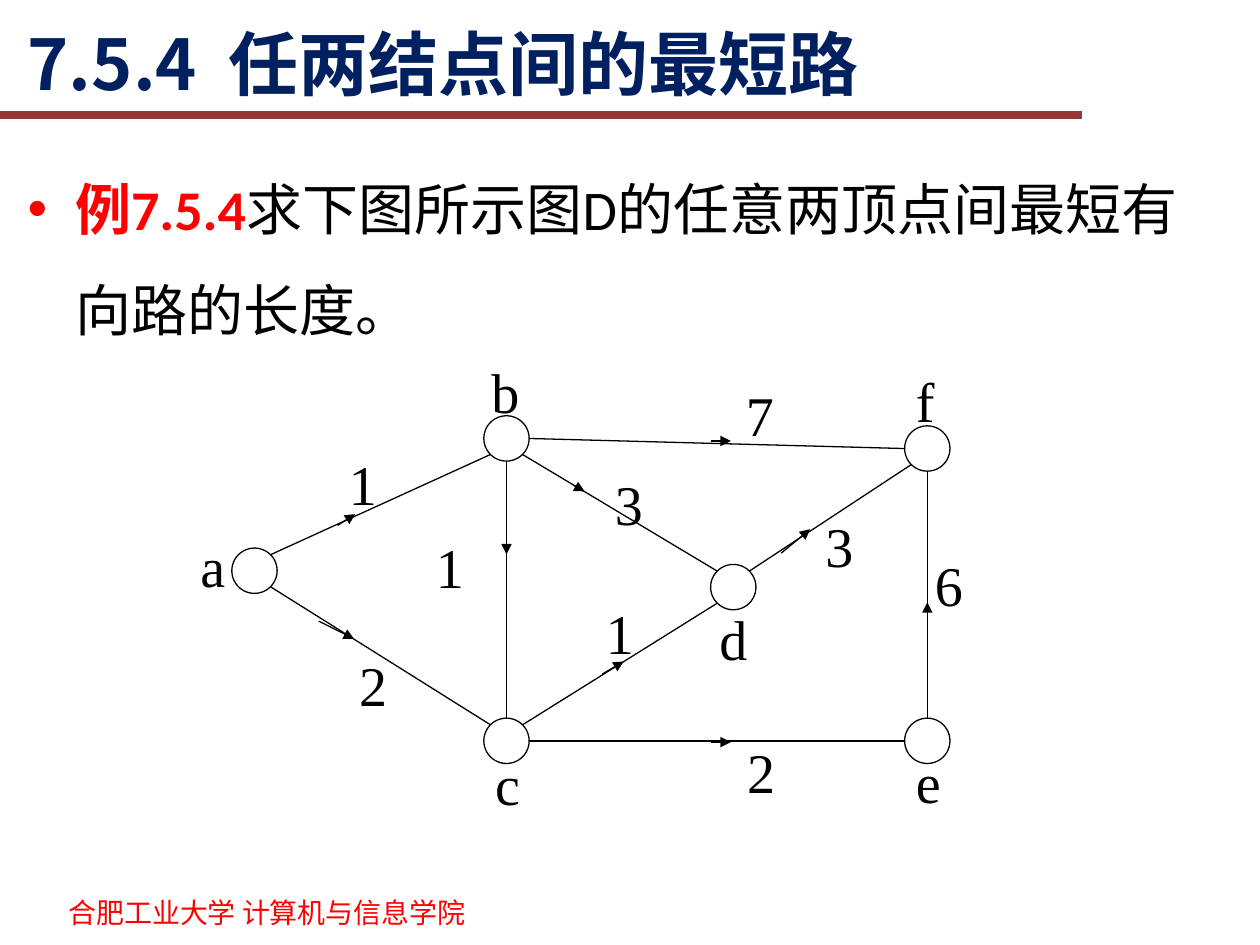
from math import atan2, cos, pi, sin

from lxml import etree
from pptx import Presentation
from pptx.dml.color import RGBColor
from pptx.enum.shapes import MSO_CONNECTOR, MSO_SHAPE
from pptx.enum.text import MSO_ANCHOR, PP_ALIGN
from pptx.oxml.ns import qn
from pptx.util import Inches, Pt

STRAIGHT = MSO_CONNECTOR.STRAIGHT
RECT, OVAL = MSO_SHAPE.RECTANGLE, MSO_SHAPE.OVAL
LEFT, CENTER = PP_ALIGN.LEFT, PP_ALIGN.CENTER
TOP, MIDDLE = MSO_ANCHOR.TOP, MSO_ANCHOR.MIDDLE

COLORS = {"navy": "002060", "rule": "953735", "red": "FF0000",
          "black": "000000", "white": "FFFFFF"}
CJK_SC, CJK_JP = "Noto Sans CJK SC", "Noto Sans CJK JP"
SERIF, SANS = "Times New Roman", "Calibri"

# Content
TITLE = "7.5.4  任两结点间的最短路"
EXAMPLE = "例7.5.4"
QUESTION = "求下图所示图D的任意两顶点间最短有向路的长度。"
FOOTER = "合肥工业大学 计算机与信息学院"

# Graph: vertex name -> (centre, label box corner)
VERTICES = {
    "d": ((5.82, 4.66), (5.6, 4.74)),
    "a": ((2.02, 4.53), (1.48, 4.16)),
    "c": ((4.02, 5.88), (3.82, 5.89)),
    "e": ((7.36, 5.88), (7.16, 5.87)),
    "f": ((7.36, 3.56), (7.16, 2.85)),
    "b": ((4.02, 3.48), (3.79, 2.78)),
}
# Edge: from, to, weight, weight box corner, arrow start, arrow tip
EDGES = [
    ("d", "f", 3, (6.44, 4.0), (6.2, 4.39), (6.43, 4.2)),
    ("c", "d", 1, (4.7, 4.69), (4.78, 5.35), (4.95, 5.25)),
    ("b", "d", 3, (4.77, 3.67), (4.55, 3.85), (4.64, 3.9)),
    ("b", "f", 7, (5.81, 2.96), (5.64, 3.5), (5.8, 3.5)),
    ("a", "b", 1, (2.66, 3.51), (2.68, 4.17), (2.82, 4.08)),
    ("b", "c", 1, (3.35, 4.17), (4.02, 4.35), (4.02, 4.4)),
    ("a", "c", 2, (2.74, 5.1), (2.53, 4.93), (2.81, 5.07)),
    ("e", "f", 6, (7.31, 4.31), (7.36, 4.83), (7.36, 4.78)),
    ("c", "e", 2, (5.82, 5.79), (5.64, 5.89), (5.8, 5.89)),
]
RADIUS = 0.18
LABEL_SIZE = 1.03


def rgb(name):
    return RGBColor.from_string(COLORS[name])


def place(sp, *box):
    sp.left, sp.top, sp.width, sp.height = map(Inches, box)


def style_run(r, size, font, color, bold=False, east=CJK_SC):
    r.font.size, r.font.name, r.font.bold = Pt(size), font, bold
    r.font.color.rgb = rgb(color)
    latin = r._r.rPr.find(qn("a:latin"))
    ea = etree.Element(qn("a:ea"), typeface=east)
    latin.addnext(ea)


def add_line(s, start, end, color="black", width=0.75, arrow=False):
    sp = s.shapes.add_connector(STRAIGHT, *map(Inches, (*start, *end)))
    sp.line.color.rgb, sp.line.width = rgb(color), Pt(width)
    if arrow:
        etree.SubElement(sp.line._get_or_add_ln(), qn("a:tailEnd"), type="triangle")
    etree.SubElement(sp._element.spPr, qn("a:effectLst"))


def add_white_shape(s, kind, x, y, size, outline):
    sp = s.shapes.add_shape(kind, *map(Inches, (x, y, size, size)))
    sp.shadow.inherit = False
    sp.fill.solid()
    sp.fill.fore_color.rgb = rgb("white")
    sp.line.color.rgb, sp.line.width = rgb(outline), Pt(0.75)
    return sp


def add_label(s, text, corner):
    tf = add_white_shape(s, RECT, *corner, LABEL_SIZE, "white").text_frame
    tf.margin_left = tf.margin_right = Inches(0.11)
    tf.margin_top = tf.margin_bottom = Inches(0.06)
    tf.vertical_anchor = TOP
    p = tf.paragraphs[0]
    p.text, p.alignment = text, LEFT
    style_run(p.runs[0], 32, SERIF, "black")


def rim_point(center, target):
    """Point of the vertex circle nearest the target, in steps of 45 degrees."""
    (x, y), (tx, ty) = center, target
    angle = round(atan2(ty - y, tx - x) / (pi / 4)) * pi / 4
    return x + RADIUS * cos(angle), y + RADIUS * sin(angle)


def add_texts(s):
    # Title
    title, body = s.shapes.title, s.placeholders[1]
    place(title, 0.12, 0.08, 7.39, 0.83)
    tf = title.text_frame
    tf.text, tf.vertical_anchor = TITLE, MIDDLE
    tf.paragraphs[0].alignment = LEFT
    style_run(tf.paragraphs[0].runs[0], 40, CJK_JP, "navy", True, CJK_JP)

    # Question with a red bullet
    place(body, 0.12, 1.07, 9.76, 5.99)
    p = body.text_frame.paragraphs[0]
    p.line_spacing, p.space_before = 1.5, Pt(8)
    for text, color, bold in ((EXAMPLE, "red", True), (QUESTION, "black", False)):
        r = p.add_run()
        r.text = text
        style_run(r, 32, SANS, color, bold)
    bullet = etree.SubElement(p._p.get_or_add_pPr(), qn("a:buClr"))
    etree.SubElement(bullet, qn("a:srgbClr"), val=COLORS["red"])

    # Footer
    tf = s.shapes.add_textbox(*map(Inches, (0.27, 7.06, 3.7, 0.39))).text_frame
    tf.word_wrap = True
    p = tf.paragraphs[0]
    p.text, p.alignment, p.space_before = FOOTER, CENTER, Pt(4)
    style_run(p.runs[0], 16, CJK_SC, "red")


def add_graph(s):
    # Labels lie behind the vertices and edges
    for _, _, weight, corner, _, _ in EDGES:
        add_label(s, str(weight), corner)
    for name, (_, corner) in VERTICES.items():
        add_label(s, name, corner)
    for (x, y), _ in VERTICES.values():
        add_white_shape(s, OVAL, x - RADIUS, y - RADIUS, 2 * RADIUS, "black")
    for start, end, _, _, arrow_start, arrow_tip in EDGES:
        a, b = VERTICES[start][0], VERTICES[end][0]
        add_line(s, rim_point(a, b), rim_point(b, a))
        add_line(s, arrow_start, arrow_tip, arrow=True)


def main():
    prs = Presentation()
    prs.slide_width, prs.slide_height = Inches(10), Inches(7.5)
    s = prs.slides.add_slide(prs.slide_layouts[1])
    add_line(s, (0, 0.91), (8.59, 0.91), "rule", 4.5)
    add_texts(s)
    add_graph(s)
    prs.save("out.pptx")


if __name__ == "__main__":
    main()
